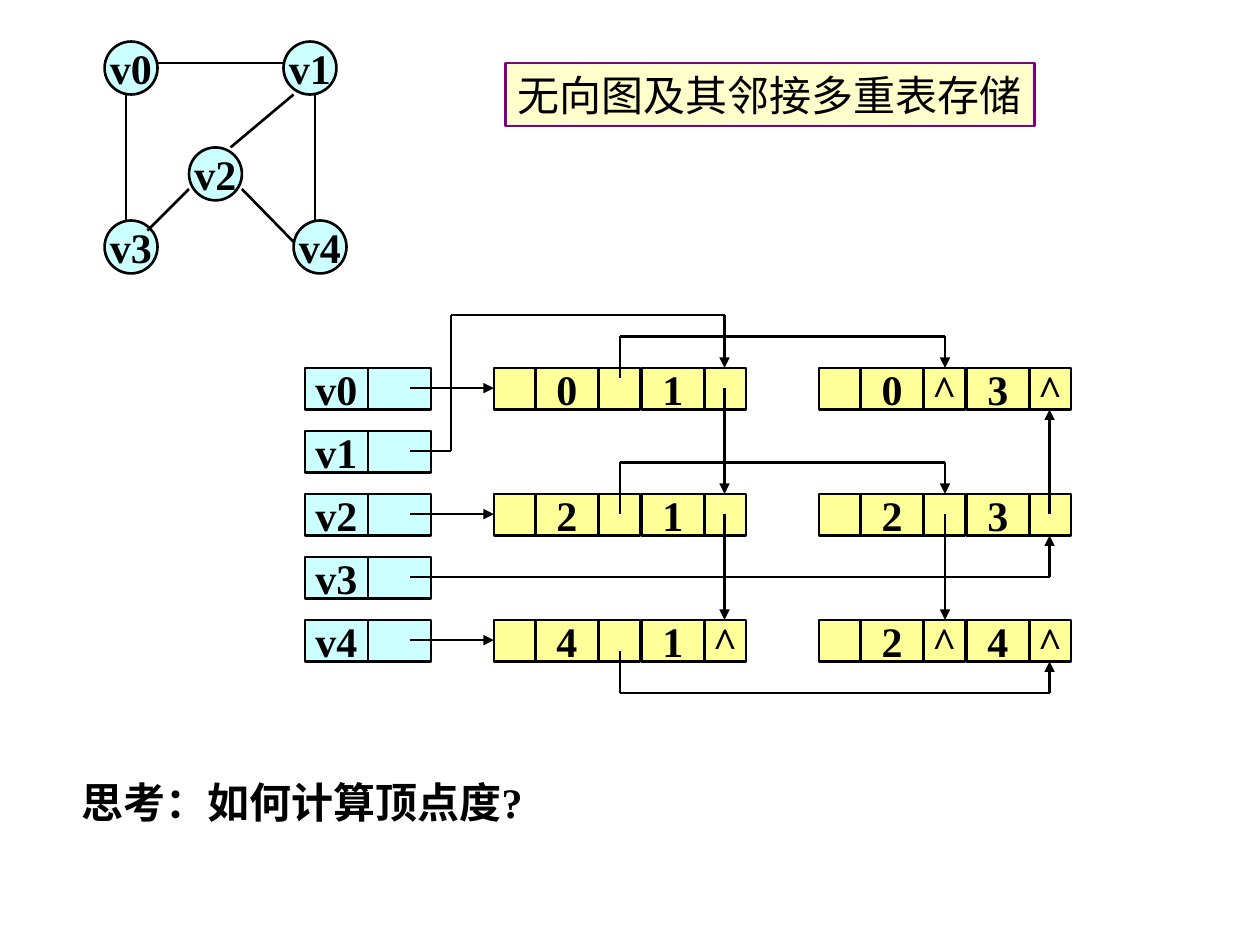
"""Build a slide showing an undirected graph and its adjacency multilist."""
from itertools import pairwise

from lxml import etree
from pptx import Presentation
from pptx.dml.color import RGBColor
from pptx.enum import shapes, text
from pptx.oxml import ns
from pptx.util import Inches, Pt

BLACK = RGBColor(0x00, 0x00, 0x00)
PURPLE = RGBColor(0x80, 0x00, 0x80)
CYAN = RGBColor(0xCC, 0xFF, 0xFF)
YELLOW = RGBColor(0xFF, 0xFF, 0x99)
CREAM = RGBColor(0xFF, 0xFF, 0xCC)
OVAL = shapes.MSO_SHAPE.OVAL
RECTANGLE = shapes.MSO_SHAPE.RECTANGLE
CENTER = text.PP_ALIGN.CENTER
LEFT = text.PP_ALIGN.LEFT

presentation = Presentation()
presentation.slide_width = Inches(10)
presentation.slide_height = Inches(7.5)
slide = presentation.slides.add_slide(presentation.slide_layouts[6])


def add_box(kind, left, top, width, height, label, fill, border=BLACK, bold=True, align=CENTER):
    shape = slide.shapes.add_shape(kind, Inches(left), Inches(top), Inches(width), Inches(height))
    shape.shadow.inherit = False
    if fill is None:
        shape.fill.background()
        shape.line.fill.background()
    else:
        shape.fill.solid()
        shape.fill.fore_color.rgb = fill
        shape.line.color.rgb = border
        shape.line.width = Pt(1.5)
    if label:
        frame = shape.text_frame
        frame.word_wrap = False
        frame.vertical_anchor = text.MSO_ANCHOR.MIDDLE if align == CENTER else text.MSO_ANCHOR.TOP
        paragraph = frame.paragraphs[0]
        paragraph.alignment = align
        run = paragraph.add_run()
        run.text = label
        run.font.name = "Times New Roman"
        run.font.size = Pt(24)
        run.font.bold = bold
        run.font.color.rgb = BLACK


def add_route(points, arrow):
    for start, end in pairwise(points):
        connector = slide.shapes.add_connector(
            shapes.MSO_CONNECTOR.STRAIGHT, *(Inches(value) for value in (*start, *end)))
        connector.line.color.rgb = BLACK
        connector.line.width = Pt(1.5)
        properties = connector._element.spPr
        etree.SubElement(properties, ns.qn("a:effectLst"))
        if arrow and end == points[-1]:
            line = properties.find(ns.qn("a:ln"))
            etree.SubElement(line, ns.qn("a:tailEnd"), type="triangle")


vertices = [("v0", 0.83, 0.33), ("v1", 2.25, 0.33), ("v2", 1.5, 1.17),
            ("v3", 0.83, 1.75), ("v4", 2.33, 1.75)]
for name, left, top in vertices:
    add_box(OVAL, left, top, 0.42, 0.42, name, CYAN)

graph_edges = [
    [(1.25, 0.5), (2.25, 0.5)],
    [(1, 0.75), (1, 1.75)],
    [(2.33, 0.75), (1.83, 1.17)],
    [(1.5, 1.5), (1.17, 1.83)],
    [(2.5, 0.75), (2.5, 1.75)],
    [(2.33, 1.92), (1.92, 1.5)],
]
for edge in graph_edges:
    add_route(edge, arrow=False)

for index in range(5):
    top = 2.92 + 0.5 * index
    add_box(RECTANGLE, 2.42, top, 0.5, 0.33, f"v{index}", CYAN)
    add_box(RECTANGLE, 2.92, top, 0.5, 0.33, "", CYAN)

cells = [(0, 0.33), (0.33, 0.5), (0.83, 0.33), (1.17, 0.5), (1.67, 0.33)]
edge_nodes = [
    (3.92, 2.92, ["", "0", "", "1", ""]),
    (6.5, 2.92, ["", "0", "^", "3", "^"]),
    (3.92, 3.92, ["", "2", "", "1", ""]),
    (6.5, 3.92, ["", "2", "", "3", ""]),
    (3.92, 4.92, ["", "4", "", "1", "^"]),
    (6.5, 4.92, ["", "2", "^", "4", "^"]),
]
for left, top, labels in edge_nodes:
    for (offset, width), label in zip(cells, labels):
        add_box(RECTANGLE, left + offset, top, width, 0.33, label, YELLOW)

pointer_routes = [
    [(3.25, 3.08), (3.92, 3.08)],
    [(3.25, 4.08), (3.92, 4.08)],
    [(3.25, 5.08), (3.92, 5.08)],
    [(3.25, 3.58), (3.58, 3.58), (3.58, 2.5), (5.75, 2.5), (5.75, 2.92)],
    [(4.92, 3), (4.92, 2.67), (7.5, 2.67), (7.5, 2.92)],
    [(5.75, 3.08), (5.75, 3.92)],
    [(5.75, 4.08), (5.75, 4.92)],
    [(4.92, 4.08), (4.92, 3.67), (7.5, 3.67), (7.5, 3.92)],
    [(3.25, 4.58), (8.33, 4.58), (8.33, 4.25)],
    [(8.33, 4.08), (8.33, 3.25)],
    [(4.92, 5.17), (4.92, 5.5), (8.33, 5.5), (8.33, 5.25)],
    [(7.5, 4.08), (7.5, 4.92)],
]
for route in pointer_routes:
    add_route(route, arrow=True)

add_box(RECTANGLE, 4.01, 0.5, 4.2, 0.5, "无向图及其邻接多重表存储", CREAM, PURPLE, bold=False, align=LEFT)
add_box(RECTANGLE, 0.55, 6.11, 3.78, 0.5, "思考：如何计算顶点度?", None, align=LEFT)

presentation.save("out.pptx")
